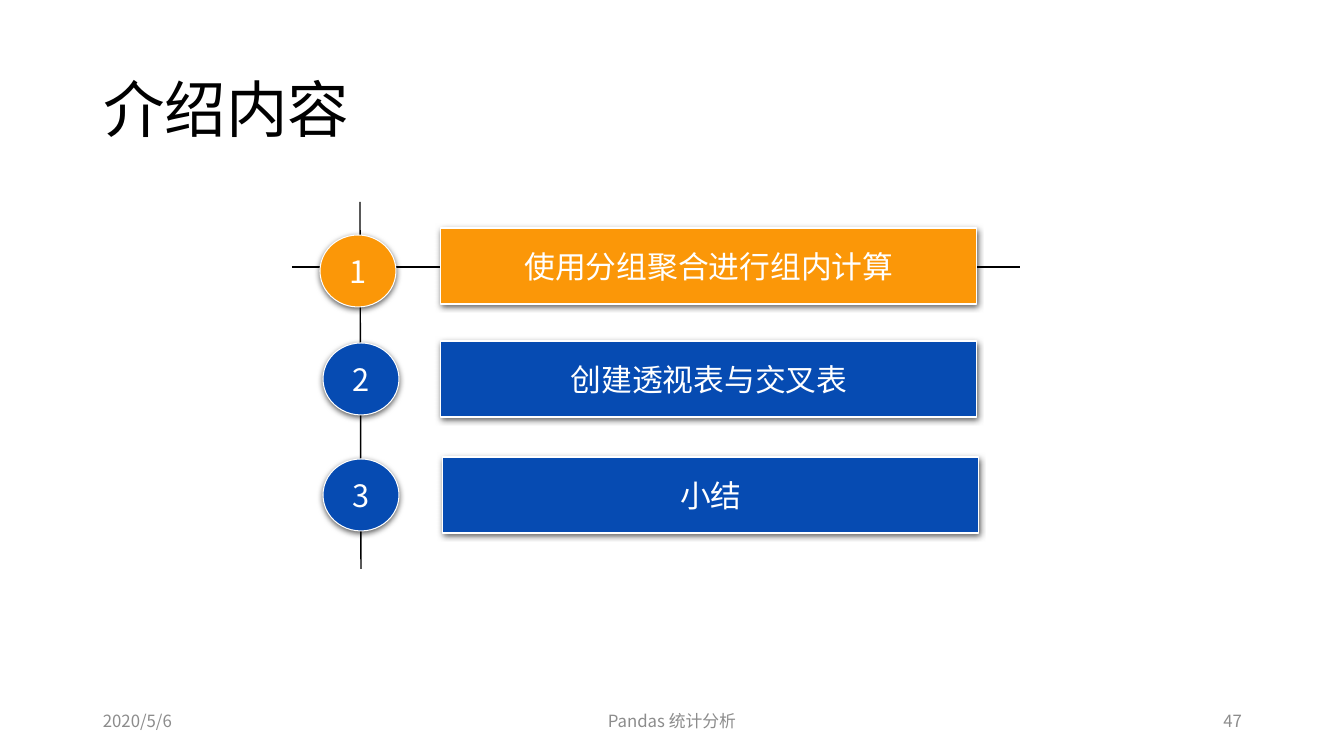
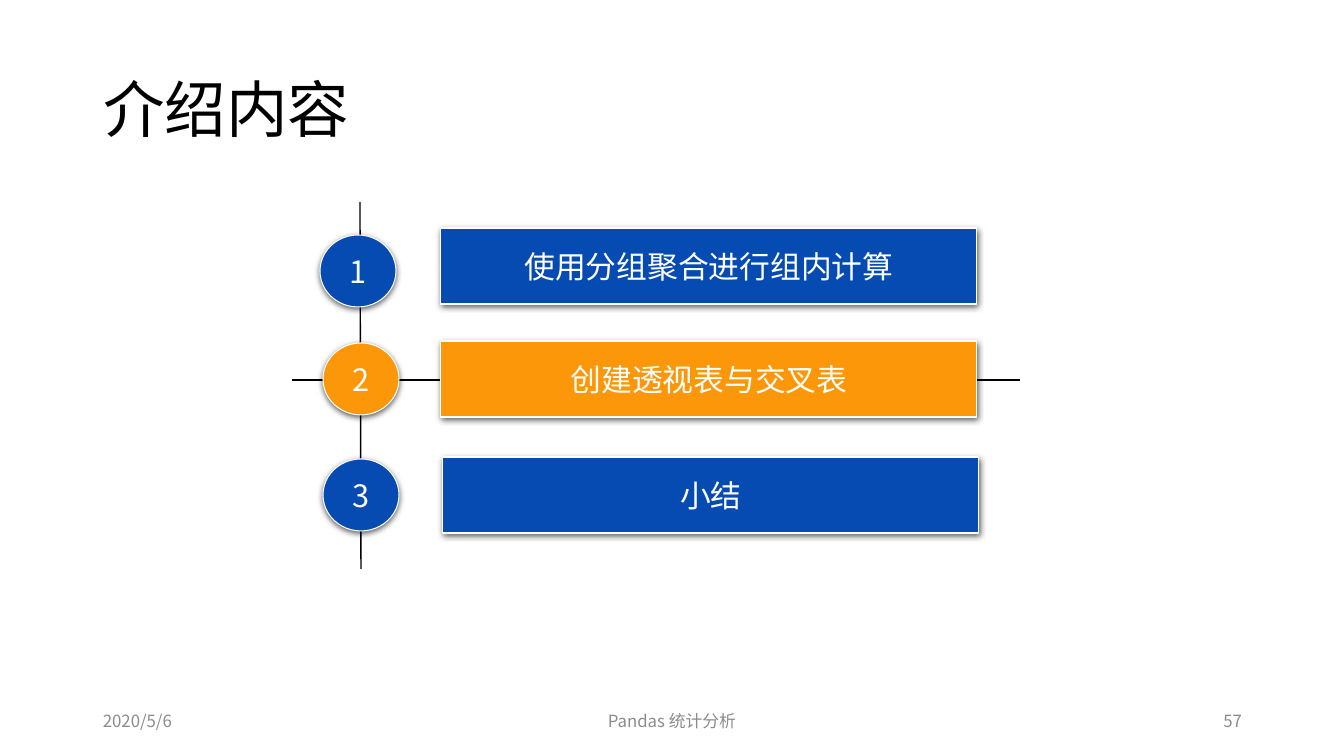
from lxml.etree import SubElement
from pptx import Presentation
from pptx.dml.color import RGBColor
from pptx.enum.shapes import MSO_CONNECTOR as LINE, MSO_SHAPE as SHAPE
from pptx.enum.text import MSO_ANCHOR as ANCHOR, PP_ALIGN as ALIGN
from pptx.oxml.ns import qn
from pptx.util import Pt

SCALE = 914400 / 100.8  # EMU in one px
COLORS = {
    "ink": "000000",
    "paper": "FFFFFF",
    "footer": "8C8C8C",
    "topic": "064BB2",
    "current": "FB9708",
}
SANS, SERIF = "Noto Sans CJK SC", "Times New Roman"

TITLE_BOX = (93, 40, 1159, 146)
FOOTER_BOX = (93, 701, 1159, 40)
AGENDA_BOX = (292, 202, 728, 367)
BAR_SIZE = (536, 76)
CIRCLE_SIZE = (76, 72)
RULE_DROP = 39  # from the top of a bar to its crossing rule

# Topic, font, and the corners of circle and bar inside the agenda box
TOPICS = [
    ("使用分组聚合进行组内计算", SERIF, (28, 33), (149, 26)),
    ("创建透视表与交叉表", SERIF, (31, 141), (149, 139)),
    ("小结", SANS, (31, 257), (151, 255)),
]
# Page number and index of the current topic
PAGES = [(47, 0), (57, 1)]


def px(*lengths):
    return [round(length * SCALE) for length in lengths]


def color(name):
    return RGBColor.from_string(COLORS[name])


def write(frame, text, size, ink, align, font=SANS):
    frame.vertical_anchor = ANCHOR.MIDDLE
    para = frame.paragraphs[0]
    para.alignment = align
    span = para.add_run()
    span.text = text
    span.font.size = Pt(size)
    span.font.name = font
    span.font.color.rgb = color(ink)
    SubElement(span.font._element, qn("a:ea"), typeface=SANS)
    return para


def add_title(page, text, box):
    title = page.shapes.title
    title.left, title.top, title.width, title.height = px(*box)
    write(title.text_frame, text, 44, "ink", ALIGN.LEFT).line_spacing = 0.9


def add_footer(page, number, box):
    left, top, width, height = box
    side, middle = 302, 454
    parts = [
        ("2020/5/6", left, side, ALIGN.LEFT),
        ("Pandas 统计分析", left + (width - middle) // 2, middle, ALIGN.CENTER),
        (str(number), left + width - side, side, ALIGN.RIGHT),
    ]
    for text, x, part_width, align in parts:
        frame = page.shapes.add_textbox(*px(x, top, part_width, height)).text_frame
        frame.word_wrap = True
        write(frame, text, 12, "footer", align)


def add_line(group, *ends):
    line = group.shapes.add_connector(LINE.STRAIGHT, *px(*ends))
    line.line.color.rgb = color("ink")
    line.line.width = Pt(1)
    SubElement(line._element.spPr, qn("a:effectLst"))


def add_button(group, kind, box, fill, text, font):
    button = group.shapes.add_shape(kind, *px(*box))
    button.fill.solid()
    button.fill.fore_color.rgb = color(fill)
    button.line.color.rgb = color("paper")
    button.line.width = Pt(0.75)
    # Soft shadow straight below
    button.shadow.inherit = False
    effects = button._element.spPr.find(qn("a:effectLst"))
    shadow = SubElement(effects, qn("a:outerShdw"), blurRad=str(Pt(4.5)),
                        dist=str(Pt(1.5)), dir="5400000", rotWithShape="0")
    tint = SubElement(shadow, qn("a:srgbClr"), val=COLORS["ink"])
    SubElement(tint, qn("a:alpha"), val="63000")
    button.text_frame.word_wrap = False
    write(button.text_frame, text, 22, "paper", ALIGN.CENTER, font)


def add_agenda(page, current, box):
    left, top, width, height = box
    group = page.shapes.add_group_shape()
    # Spine, and the rule through the current topic
    add_line(group, left + 68, top, left + 69, top + height)
    rule = top + TOPICS[current][3][1] + RULE_DROP
    add_line(group, left, rule, left + width, rule)
    # Numbered topics
    for index, (topic, font, circle, bar) in enumerate(TOPICS):
        fill = "current" if index == current else "topic"
        add_button(group, SHAPE.ACTION_BUTTON_CUSTOM,
                   (left + bar[0], top + bar[1], *BAR_SIZE), fill, topic, font)
        add_button(group, SHAPE.OVAL,
                   (left + circle[0], top + circle[1], *CIRCLE_SIZE),
                   fill, str(index + 1), SANS)


def add_agenda_page(deck, number, current):
    page = deck.slides.add_slide(deck.slide_layouts[5])
    add_title(page, "介绍内容", TITLE_BOX)
    add_footer(page, number, FOOTER_BOX)
    add_agenda(page, current, AGENDA_BOX)


def main():
    deck = Presentation()
    deck.slide_width, deck.slide_height = px(1344, 756)
    for number, current in PAGES:
        add_agenda_page(deck, number, current)
    deck.save("out.pptx")


if __name__ == "__main__":
    main()
